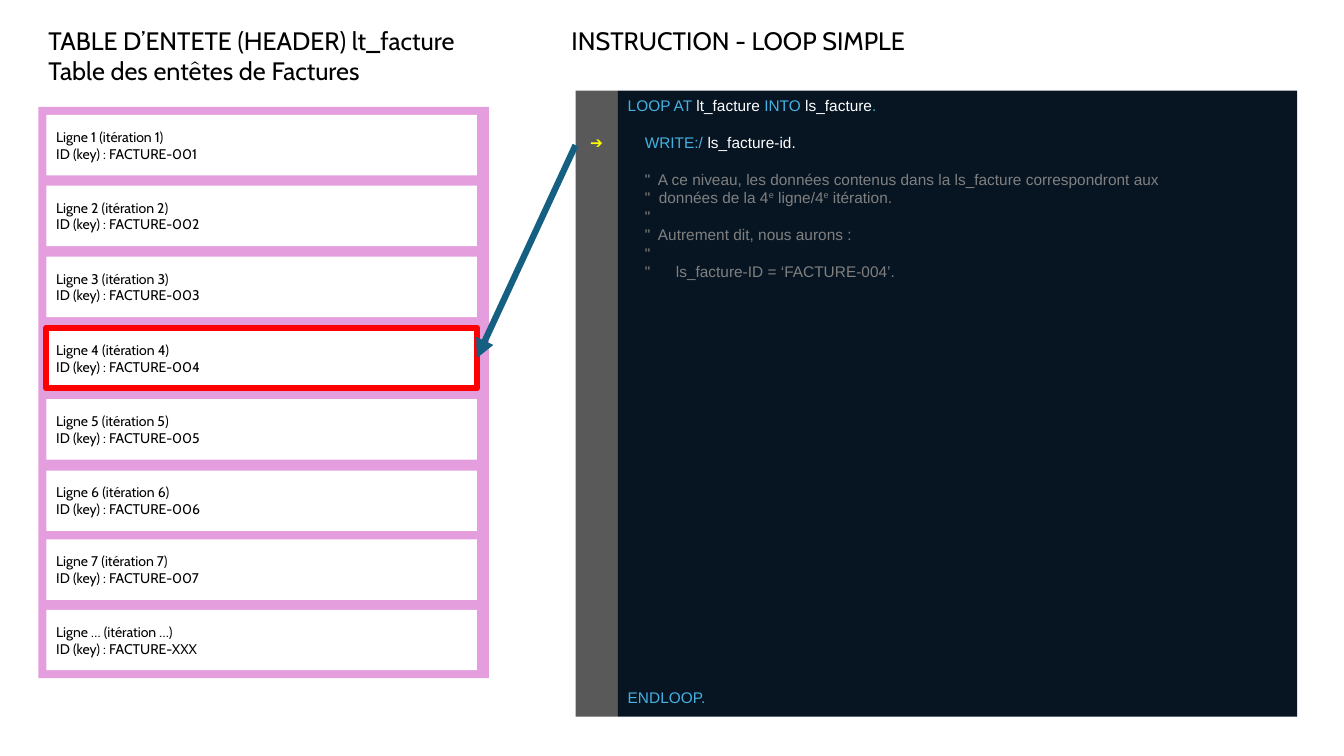
from pptx import Presentation
from pptx.dml.color import RGBColor
from pptx.enum.shapes import MSO_CONNECTOR as CONN, MSO_SHAPE as SHAPE
from pptx.enum.text import MSO_ANCHOR as ANCHOR, MSO_AUTO_SIZE as FIT, PP_ALIGN as ALIGN
from pptx.oxml.ns import qn
from pptx.util import Pt
from lxml.etree import SubElement

BLACK, WHITE, RED, YELLOW = "000000", "FFFFFF", "FF0000", "FFFF00"
PINK, NAVY, DARK_GREY, TEAL = "E59EDD", "071523", "595959", "156082"
BLUE, GREY = "46B1E1", "808080"

ROW_TOPS = [82.1, 132.6, 183.4, 234.2, 285.1, 336.1, 385.3, 435.6]
ROW_KEYS = [(str(n), f"00{n}") for n in range(1, 8)] + [("…", "XXX")]
CURRENT_ROW = 3

CODE = [
    (0, [("LOOP AT ", BLUE), ("lt_facture ", WHITE), ("INTO ", BLUE),
         ("ls_facture", WHITE), (".", BLUE)]),
    (1, [("    WRITE:/ ", BLUE), ("ls_facture-id.", WHITE)]),
    (1, [("    \"  A ce niveau, les données contenus dans la ls_facture "
          "correspondront aux", GREY)]),
    (0, [("    \"  données de la 4", GREY), ("e", GREY, True), (" ligne/4", GREY),
         ("e", GREY, True), (" itération.", GREY)]),
    (0, [("    \"", GREY)]),
    (0, [("    \"  Autrement dit, nous aurons :", GREY)]),
    (0, [("    \"", GREY)]),
    (0, [("    \"      ls_facture-ID = ‘FACTURE-004’.", GREY)]),
    (22, [("ENDLOOP.", BLUE)]),
]


def rgb(value):
    return RGBColor.from_string(value)


class Deck:
    text_font, code_font = "Cabin", "Arial"
    heading_size, row_size, code_size = 18, 10, 11
    code_pitch = 13.22

    def __init__(self, prs):
        self.slide = prs.slides.add_slide(prs.slide_layouts[5])
        self.shapes = self.slide.shapes

    def style(self, r, size, color, font=text_font):
        r.font.name = font
        r.font.size = Pt(size)
        r.font.color.rgb = rgb(color)

    def label(self, sp, text, size, color, align=ALIGN.LEFT, anchor=ANCHOR.TOP):
        tf = sp.text_frame
        tf.text = text
        tf.word_wrap = True
        tf.auto_size = FIT.NONE
        tf.vertical_anchor = anchor
        for p in tf.paragraphs:
            p.alignment = align
            for r in p.runs:
                self.style(r, size, color)

    def title(self, text, left, top, width, height):
        sp = self.shapes.title
        sp.left, sp.top, sp.width, sp.height = map(Pt, (left, top, width, height))
        self.label(sp, text, self.heading_size, BLACK)

    def heading(self, text, left, top, width, height):
        sp = self.shapes.add_textbox(*map(Pt, (left, top, width, height)))
        self.label(sp, text, self.heading_size, BLACK)

    def rect(self, left, top, width, height, fill, line=None):
        sp = self.shapes.add_shape(SHAPE.RECTANGLE, *map(Pt, (left, top, width, height)))
        sp.shadow.inherit = False
        sp.fill.solid()
        sp.fill.fore_color.rgb = rgb(fill)
        if line:
            sp.line.color.rgb = rgb(line)
            sp.line.width = Pt(4.5)
        else:
            sp.line.fill.background()
        return sp

    def row(self, text, top, line=None):
        sp = self.rect(33.1, top, 307.5, 43.2, WHITE, line)
        self.label(sp, text, self.row_size, BLACK, anchor=ANCHOR.MIDDLE)
        return sp

    def marker_bar(self, left, top, width, height, marker_offset):
        sp = self.rect(left, top, width, height, DARK_GREY)
        self.label(sp, "➔", self.code_size, YELLOW, ALIGN.CENTER)
        sp.text_frame.margin_top = Pt(marker_offset)

    def arrow(self, x, y, target, side):
        cx = self.shapes.add_connector(CONN.STRAIGHT, Pt(x), Pt(y), Pt(x), Pt(y))
        cx.end_connect(target, side)
        cx.line.color.rgb = rgb(TEAL)
        cx.line.width = Pt(4.5)
        sp_pr = cx.element.spPr
        SubElement(sp_pr.find(qn("a:ln")), qn("a:tailEnd"), type="triangle")
        SubElement(sp_pr, qn("a:effectLst"))

    def code(self, lines, left, top, width, height):
        tf = self.rect(left, top, width, height, NAVY).text_frame
        tf.word_wrap = True
        tf.vertical_anchor = ANCHOR.TOP
        for i, (gap, parts) in enumerate(lines):
            p = tf.paragraphs[0] if i == 0 else tf.add_paragraph()
            p.alignment = ALIGN.LEFT
            p.line_spacing = Pt(self.code_pitch)
            if gap:
                p.space_before = Pt(gap * self.code_pitch)
            for text, color, *raised in parts:
                r = p.add_run()
                r.text = text
                self.style(r, self.code_size, color, self.code_font)
                if raised:
                    r.font._element.set("baseline", "30000")


def main():
    prs = Presentation()
    prs.slide_width, prs.slide_height = Pt(960), Pt(540)
    deck = Deck(prs)
    deck.title("INSTRUCTION - LOOP SIMPLE", 401, 14.4, 401, 29)
    deck.rect(27.4, 76.3, 321.8, 408.2, PINK)
    rows = [
        deck.row(f"Ligne {n} (itération {n})\vID (key) : FACTURE-{key}", top,
                 RED if i == CURRENT_ROW else None)
        for i, ((n, key), top) in enumerate(zip(ROW_KEYS, ROW_TOPS))
    ]
    deck.marker_bar(411.1, 64.8, 30.2, 447.1, 30)
    deck.arrow(411.1, 103.7, rows[CURRENT_ROW], 3)
    deck.code(CODE, 441.3, 64.8, 485.3, 447.1)
    deck.heading("TABLE D’ENTETE (HEADER) lt_facture\nTable des entêtes de Factures",
                 27.4, 14.4, 321.8, 51.1)
    prs.save("out.pptx")


if __name__ == "__main__":
    main()
